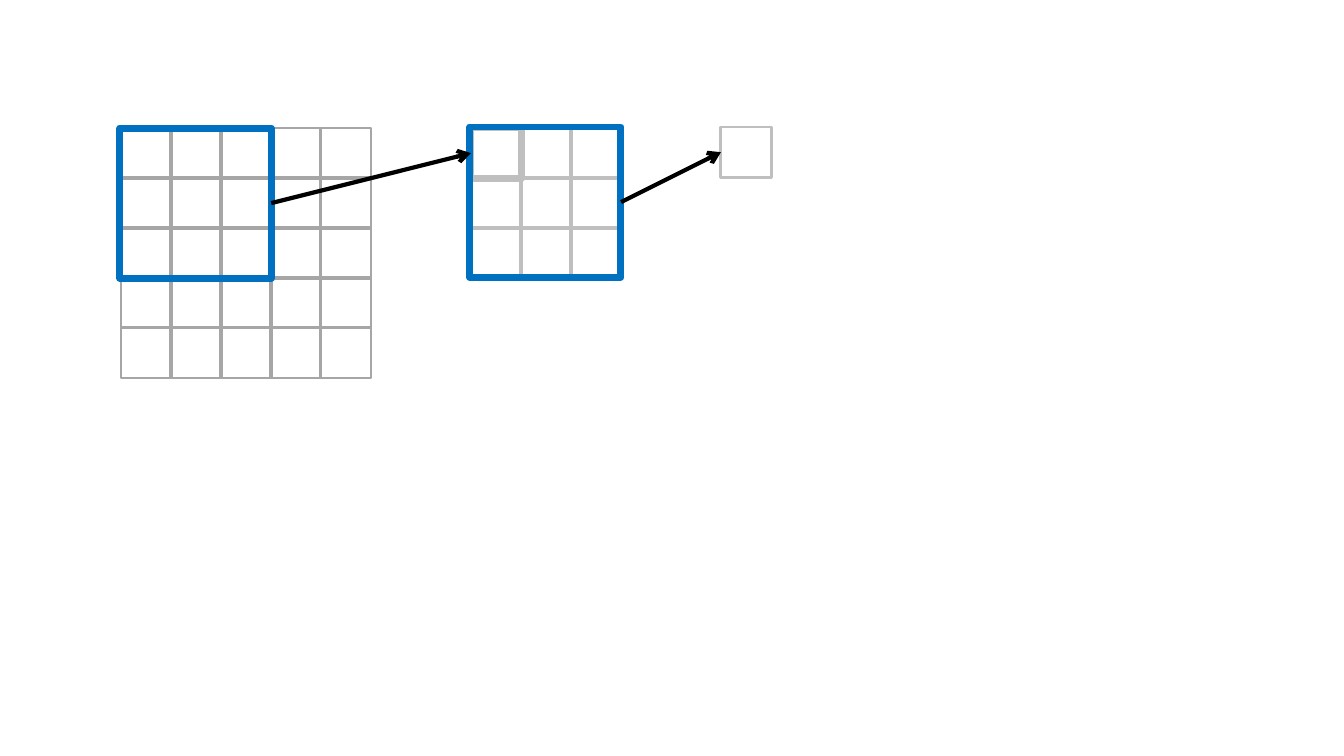
from lxml.etree import SubElement
from pptx import Presentation
from pptx.dml.color import RGBColor
from pptx.enum.shapes import MSO_CONNECTOR, MSO_SHAPE
from pptx.oxml.ns import qn
from pptx.util import Inches, Pt

GRAY = RGBColor(0xA6, 0xA6, 0xA6)
LIGHT_GRAY = RGBColor(0xBF, 0xBF, 0xBF)
BLUE = RGBColor(0x00, 0x70, 0xC0)
BLACK = RGBColor(0x00, 0x00, 0x00)

CELL = 0.5
PITCH = 1.98 / 4  # neighbouring cells overlap slightly
WINDOW_WIDTH, WINDOW_HEIGHT = 1.5, 1.49
LEFT_SITE, RIGHT_SITE = 1, 3  # connection sites of a rectangle


def add_outline(slide, left, top, width, height, color, weight):
    """Add an unfilled rectangle and return it."""
    box = slide.shapes.add_shape(
        MSO_SHAPE.RECTANGLE, Inches(left), Inches(top), Inches(width), Inches(height)
    )
    box.shadow.inherit = False
    box.fill.background()
    box.line.color.rgb = color
    box.line.width = Pt(weight)
    return box


def add_grid(slide, left, top, size, color):
    """Add a square grid of cells and return them row by row."""
    return [
        add_outline(slide, left + column * PITCH, top + row * PITCH, CELL, CELL, color, 2)
        for row in range(size)
        for column in range(size)
    ]


def add_window(slide, left, top):
    """Add the blue frame around three by three cells."""
    return add_outline(slide, left, top, WINDOW_WIDTH, WINDOW_HEIGHT, BLUE, 5)


def add_arrow(slide, source, target):
    """Connect the right side of source to the left side of target."""
    arrow = slide.shapes.add_connector(MSO_CONNECTOR.STRAIGHT, 0, 0, 0, 0)
    arrow.begin_connect(source, RIGHT_SITE)
    arrow.end_connect(target, LEFT_SITE)
    arrow.line.color.rgb = BLACK
    arrow.line.width = Pt(3)
    properties = arrow.element.spPr
    SubElement(properties.find(qn("a:ln")), qn("a:tailEnd"), type="arrow")
    SubElement(properties, qn("a:effectLst"))


def main():
    """Build the slide with two convolution steps and save it."""
    deck = Presentation()
    deck.slide_width, deck.slide_height = Inches(13.33), Inches(7.5)
    page = deck.slides.add_slide(deck.slide_layouts.get_by_name("Blank"))

    add_grid(page, 1.2, 1.27, 5, GRAY)
    feature_cells = add_grid(page, 4.67, 1.27, 3, LIGHT_GRAY)
    feature_cells[0].line.width = Pt(5)

    feature_window = add_window(page, 4.66, 1.26)
    input_window = add_window(page, 1.19, 1.27)
    output_cell = add_outline(page, 7.15, 1.26, CELL, CELL, LIGHT_GRAY, 2)

    add_arrow(page, input_window, feature_cells[0])
    add_arrow(page, feature_window, output_cell)
    deck.save("out.pptx")


main()
